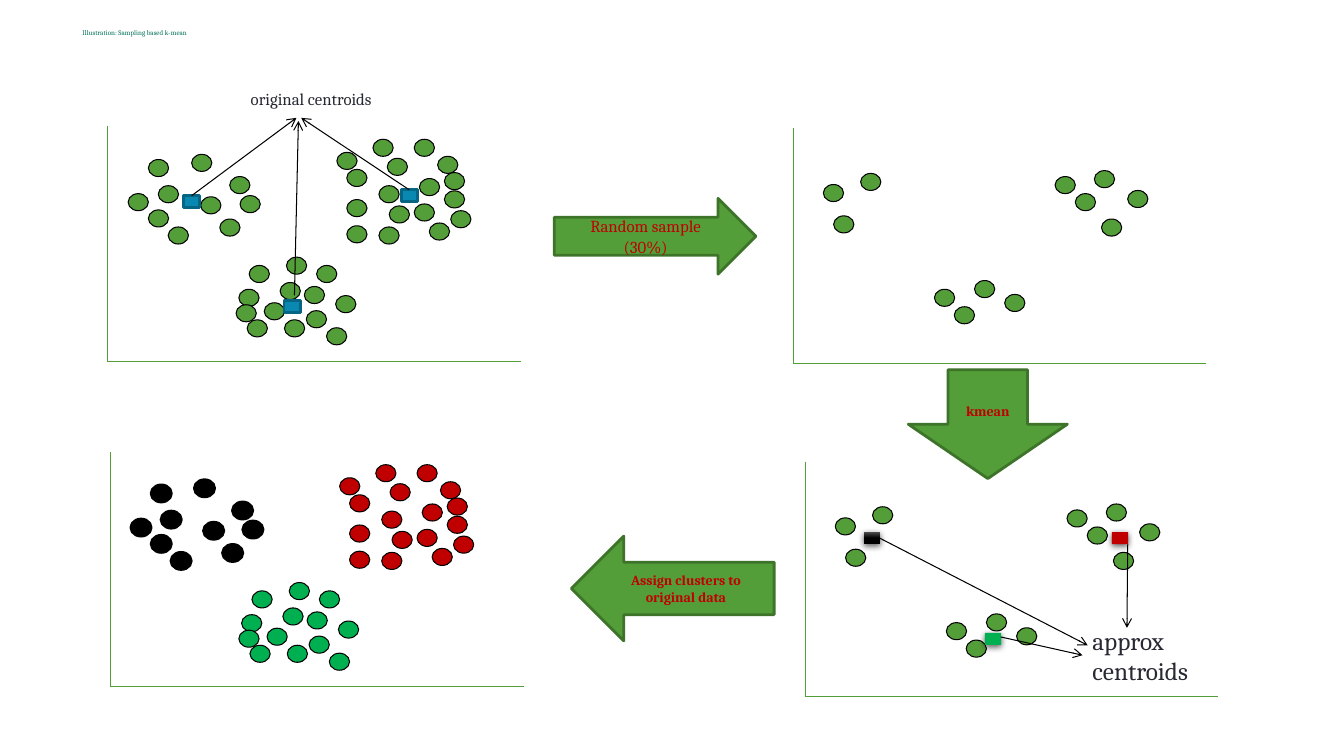
"""Build the slide that illustrates sampling-based k-means."""
from lxml import etree
from pptx import Presentation
from pptx.dml.color import RGBColor
from pptx.enum.shapes import MSO_CONNECTOR, MSO_SHAPE
from pptx.enum.text import MSO_ANCHOR, PP_ALIGN
from pptx.oxml.ns import qn
from pptx.util import Cm, Pt

STRAIGHT = MSO_CONNECTOR.STRAIGHT
OVAL, RECT = MSO_SHAPE.OVAL, MSO_SHAPE.RECTANGLE
RIGHT, DOWN, LEFT = MSO_SHAPE.RIGHT_ARROW, MSO_SHAPE.DOWN_ARROW, MSO_SHAPE.LEFT_ARROW
MIDDLE, TOP = MSO_ANCHOR.MIDDLE, MSO_ANCHOR.TOP
CENTER, START = PP_ALIGN.CENTER, PP_ALIGN.LEFT

FONT = "Cambria"
COLORS = {
    "green": "549E39", "green_edge": "3E742A", "black": "000000", "gray": "4B4B4B",
    "red": "C00000", "emerald": "00B050", "blue": "0989B1", "blue_edge": "066582",
    "title": "027159", "label": "292934",
}
AXIS_W, AXIS_H = 10.41, 5.93
DOT_W, DOT_H = 0.51, 0.43
MARK_W, MARK_H = 0.41, 0.3

FULL_DATA = [
    [(0.51, 1.7), (1.02, 2.11), (1.52, 2.54), (2.34, 1.78), (2.82, 2.34),
     (1.02, 0.84), (3.07, 1.27), (3.33, 1.75), (2.11, 0.71), (1.27, 1.5)],
    [(7.04, 0.81), (6.02, 1.85), (8.31, 0.76), (8.48, 1.63), (6.83, 2.54),
     (8.1, 2.44), (6.83, 1.5), (7.85, 1.32), (7.72, 1.96), (7.09, 2.01),
     (8.64, 2.13), (6.02, 2.51), (7.72, 0.33), (6.68, 0.33), (6.02, 1.09),
     (8.48, 1.17), (5.77, 0.66)],
    [(3.94, 4.45), (4.45, 4.88), (5.0, 4.65), (3.56, 3.51), (4.5, 3.3),
     (4.34, 3.94), (3.3, 4.11), (3.51, 4.88), (5.26, 3.51), (5.74, 4.27),
     (5.51, 5.08), (4.95, 4.04), (3.23, 4.5)],
]
SAMPLE = [
    [(0.76, 1.42), (1.02, 2.21), (1.7, 1.14)],
    [(6.6, 1.22), (7.11, 1.65), (7.77, 2.29), (7.59, 1.07), (8.43, 1.57)],
    [(3.56, 4.06), (4.06, 4.5), (4.57, 3.84), (5.33, 4.19)],
]
ALL_GREEN = ["green"] * 3
CLUSTER_COLORS = ["black", "red", "emerald"]
PANELS = [
    (2.72, 3.18, FULL_DATA, ALL_GREEN),
    (19.99, 3.23, SAMPLE, ALL_GREEN),
    (20.29, 11.63, SAMPLE, ALL_GREEN),
    (2.79, 11.38, FULL_DATA, CLUSTER_COLORS),
]
ORIGINAL_CENTROIDS = [(4.62, 4.93), (10.11, 4.78), (7.16, 7.57)]
APPROX_CENTROIDS = [(21.77, 13.41), (28.02, 13.41), (24.82, 15.95)]
POINTERS = [
    (4.83, 4.93, 7.47, 2.97), (10.31, 4.78, 7.59, 2.97), (7.42, 7.44, 7.52, 3.05),
    (28.42, 13.72, 28.4, 15.82), (22.17, 13.56, 27.41, 16.26), (25.22, 16.05, 27.28, 16.51),
]
STEPS = [
    (RIGHT, (13.97, 5.0, 5.08, 1.91), "Random sample\n(30%)", 12, False),
    (DOWN, (22.89, 9.32, 4.01, 2.74), "kmean", 10, True),
    (LEFT, (14.4, 13.51, 5.11, 2.64), "Assign clusters to original data", 10, True),
]
LABELS = [
    ((1.83, 0.41, 27.43, 0.84), "Illustration: Sampling based k-mean", 5, "title", MIDDLE, True),
    ((6.07, 2.11, 3.94, 0.76), "original centroids", 12, "label", TOP, False),
    ((27.28, 15.62, 3.61, 1.78), "approx centroids", 18, "label", TOP, True),
]


def rgb(name):
    return RGBColor.from_string(COLORS[name])


def cm(values):
    return [Cm(v) for v in values]


def add_shape(s, kind, box, fill, edge=None, width=0.75):
    sp = s.shapes.add_shape(kind, *cm(box))
    sp.shadow.inherit = False
    sp.fill.solid()
    sp.fill.fore_color.rgb = rgb(fill)
    if edge:
        sp.line.color.rgb = rgb(edge)
        sp.line.width = Pt(width)
    else:
        sp.line.fill.background()
    return sp


def add_line(s, ends, color, arrow=False):
    line = s.shapes.add_connector(STRAIGHT, *cm(ends))
    line.line.color.rgb = rgb(color)
    line.line.width = Pt(0.75)
    props = line._element.spPr
    if arrow:
        etree.SubElement(props.find(qn("a:ln")), qn("a:tailEnd"), type="arrow")
    etree.SubElement(props, qn("a:effectLst"))


def set_text(sp, text, size, color, align, anchor, bold=False, wrap=True):
    tf = sp.text_frame
    tf.text = text
    tf.word_wrap = wrap
    tf.vertical_anchor = anchor
    for p in tf.paragraphs:
        p.alignment = align
        for r in p.runs:
            r.font.name = FONT
            r.font.size = Pt(size)
            r.font.bold = bold
            r.font.color.rgb = rgb(color)


def add_soft_shadow(sp):
    effects = sp._element.spPr.find(qn("a:effectLst"))
    shadow = etree.SubElement(effects, qn("a:outerShdw"), blurRad=str(Pt(4.5)),
                              dist=str(Pt(1.5)), dir="5400000", rotWithShape="0")
    color = etree.SubElement(shadow, qn("a:srgbClr"), val=COLORS["black"])
    etree.SubElement(color, qn("a:alpha"), val="63000")


def shade_black(sp):
    sp.fill.gradient()
    sp.fill.gradient_angle = 90
    for stop, position, color in zip(sp.fill.gradient_stops, (0.5, 1), ("black", "gray")):
        stop.position = position
        stop.color.rgb = rgb(color)


def add_panel(s, x, y, clusters, colors):
    for dots, color in zip(clusters, colors):
        width = 2 if color == "black" else 0.75
        for dx, dy in dots:
            add_shape(s, OVAL, (x + dx, y + dy, DOT_W, DOT_H), color, "black", width)
    base = y + AXIS_H
    add_line(s, (x, y, x, base), "green")
    add_line(s, (x, base, x + AXIS_W, base), "green")


def main():
    prs = Presentation()
    prs.slide_width, prs.slide_height = Cm(33.87), Cm(19.05)
    s = prs.slides.add_slide(prs.slide_layouts[6])
    for panel in PANELS:
        add_panel(s, *panel)
    for x, y in ORIGINAL_CENTROIDS:
        add_shape(s, RECT, (x, y, MARK_W, MARK_H), "blue", "blue_edge", 2)
    for (x, y), color in zip(APPROX_CENTROIDS, CLUSTER_COLORS):
        sp = add_shape(s, RECT, (x, y, MARK_W, MARK_H), color)
        add_soft_shadow(sp)
        if color == "black":
            shade_black(sp)
    for kind, box, text, size, bold in STEPS:
        sp = add_shape(s, kind, box, "green", "green_edge", 2)
        set_text(sp, text, size, "red", CENTER, MIDDLE, bold)
    for ends in POINTERS:
        add_line(s, ends, "black", arrow=True)
    for box, text, size, color, anchor, wrap in LABELS:
        sp = s.shapes.add_textbox(*cm(box))
        set_text(sp, text, size, color, START, anchor, wrap=wrap)
    prs.save("out.pptx")


if __name__ == "__main__":
    main()
